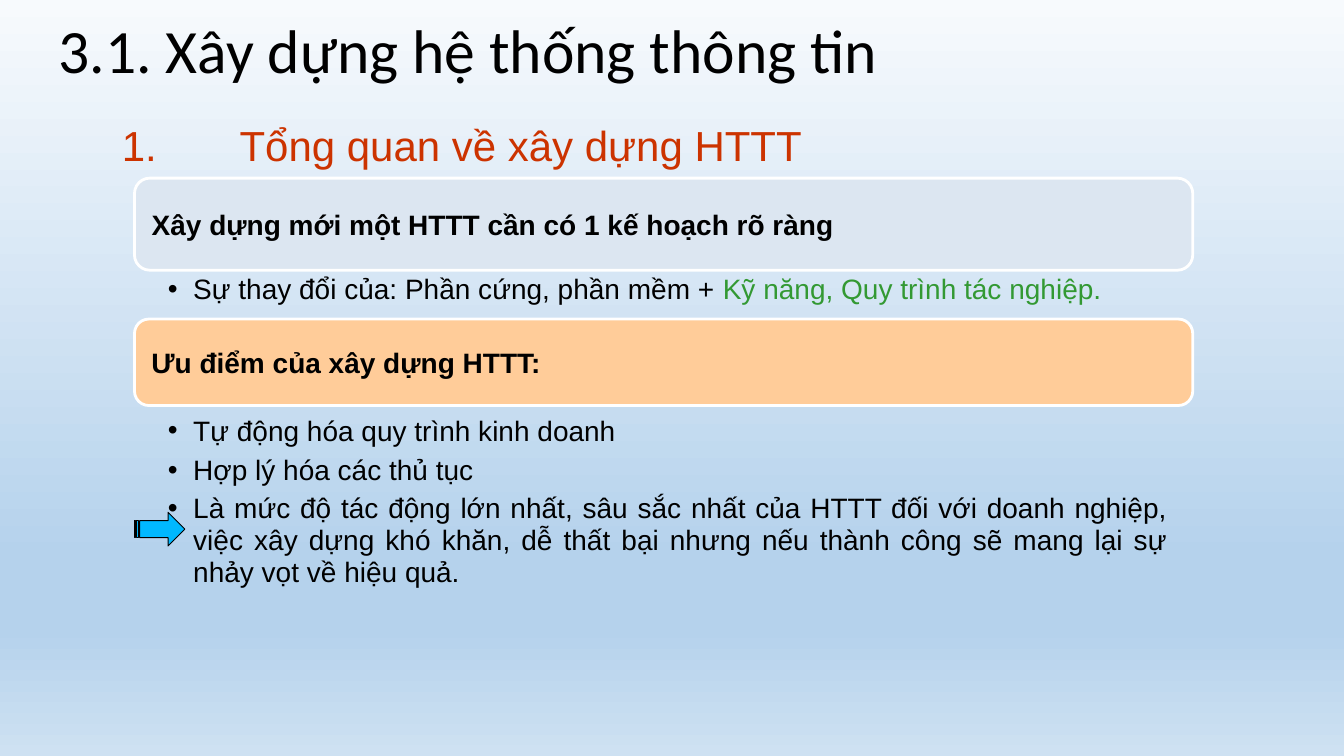
from dataclasses import dataclass

from lxml.etree import SubElement as Sub
from pptx import Presentation
from pptx.dml.color import RGBColor as Rgb
from pptx.enum.shapes import MSO_SHAPE as Kind
from pptx.enum.text import MSO_ANCHOR as Anchor, MSO_AUTO_SIZE as Fit, PP_ALIGN as Align
from pptx.oxml.ns import qn
from pptx.util import Cm, Pt

INK = {
    "black": "000000", "white": "FFFFFF", "red": "CC3300", "green": "339933",
    "mist": "DCE6F1", "peach": "FFCC99", "cyan": "00B8FF",
}
SKY = {0: "F7FAFD", 74: "B5D2EC", 83: "B5D2EC", 100: "CEE1F2"}


@dataclass
class Bar:
    """A rounded band with a bold caption."""
    top: float
    high: float
    fill: str
    text: str


@dataclass
class Item:
    """A bullet: its text, a green ending, and its spacing."""
    text: str
    tail: str = ""
    gap: float = 0
    line: float = 1.0


@dataclass
class Group:
    """A list of bullets below a bar."""
    top: float
    high: float
    items: list[Item]


BARS = [
    Bar(4.49, 2.32, "mist", "Xây dựng mới một HTTT cần có 1 kế hoạch rõ ràng"),
    Bar(8.04, 2.18, "peach", "Ưu điểm của xây dựng HTTT:"),
]
GROUPS = [
    Group(6.85, 0.9, [
        Item("Sự thay đổi của: Phần cứng, phần mềm + ",
             "Kỹ năng, Quy trình tác nghiệp."),
    ]),
    Group(10.42, 4.4, [
        Item("Tự động hóa quy trình kinh doanh"),
        Item("Hợp lý hóa các thủ tục", gap=4),
        Item("Là mức độ tác động lớn nhất, sâu sắc nhất của HTTT đối với doanh "
             "nghiệp, việc xây dựng khó khăn, dễ thất bại nhưng nếu thành công "
             "sẽ mang lại sự nhảy vọt về hiệu quả.", gap=4.5, line=0.96),
    ]),
]


def tint(name: str) -> Rgb:
    """Look up a colour."""
    return Rgb.from_string(INK[name])


def style(para, size: float, ink: str, face: str = "Arial", bold: bool = False) -> None:
    """Set the font of a paragraph."""
    font = para.font
    font.name, font.size, font.bold = face, Pt(size), bold
    font.color.rgb = tint(ink)


def setup(frame, left: float = 0, anchor=Anchor.TOP) -> None:
    """Set wrapping, margins and anchor of a text frame."""
    frame.word_wrap, frame.auto_size = True, Fit.NONE
    frame.margin_left = Cm(left)
    frame.margin_top = frame.margin_right = frame.margin_bottom = 0
    frame.vertical_anchor = anchor


def mark(para, hang: float, tag: str, **attrs: str) -> None:
    """Give a paragraph a hanging bullet or number; call before styling."""
    props = para._p.get_or_add_pPr()
    props.set("marL", str(Cm(hang)))
    props.set("indent", str(-Cm(hang)))
    Sub(props, qn("a:buFont"), typeface="Arial")
    Sub(props, qn(tag), **attrs)


def paint(slide) -> None:
    """Fill the background with the sky gradient, top to bottom."""
    fill = slide.background.fill
    fill.gradient()
    fill.gradient_angle = 270
    stops = slide.background._cSld.find(".//" + qn("a:gsLst"))
    for stop in list(stops):
        stops.remove(stop)
    for place, shade in SKY.items():
        stop = Sub(stops, qn("a:gs"), pos=str(place * 1000))
        Sub(stop, qn("a:srgbClr"), val=shade)


def block(slide, kind, box: tuple, fill: str, line: str, width: float):
    """Draw a preset shape with a fill and an outline."""
    shape = slide.shapes.add_shape(kind, *map(Cm, box))
    shape.shadow.inherit = False
    shape.fill.solid()
    shape.fill.fore_color.rgb = tint(fill)
    shape.line.color.rgb = tint(line)
    shape.line.width = Pt(width)
    return shape


def draw_bar(slide, bar: Bar) -> None:
    """Draw a captioned band."""
    box = (3.39, bar.top, 26.67, bar.high)
    frame = block(slide, Kind.ROUNDED_RECTANGLE, box, bar.fill, "white", 2).text_frame
    setup(frame, 0.32, Anchor.MIDDLE)
    para = frame.paragraphs[0]
    para.text, para.alignment = bar.text, Align.LEFT
    style(para, 20, "black", bold=True)


def draw_group(slide, group: Group) -> None:
    """Draw a list of justified bullets."""
    box = map(Cm, (4.23, group.top, 25.2, group.high))
    frame = slide.shapes.add_textbox(*box).text_frame
    setup(frame)
    for i, item in enumerate(group.items):
        para = frame.add_paragraph() if i else frame.paragraphs[0]
        mark(para, 0.64, "a:buChar", char="•")
        para.alignment = Align.JUSTIFY
        para.space_before, para.line_spacing = Pt(item.gap), item.line
        style(para, 20, "black")
        para.add_run().text = item.text
        if item.tail:
            run = para.add_run()
            run.text = item.tail
            run.font.color.rgb = tint("green")


def draw_title(slide) -> None:
    """Place the title and the numbered heading."""
    title = slide.shapes.title
    title.left, title.top, title.width, title.height = map(Cm, (1.47, 0.28, 25.4, 1.9))
    setup(title.text_frame, anchor=Anchor.MIDDLE)
    para = title.text_frame.paragraphs[0]
    para.text, para.alignment = "3.1. Xây dựng hệ thống thông tin", Align.LEFT
    style(para, 44, "black", "Calibri")

    head = slide.shapes.add_textbox(*map(Cm, (3.07, 3.0, 26.6, 1.3)))
    setup(head.text_frame)
    para = head.text_frame.paragraphs[0]
    mark(para, 2.97, "a:buAutoNum", type="arabicPeriod")
    para.text = "Tổng quan về xây dựng HTTT"
    style(para, 30, "red")


def main() -> None:
    """Build the slide."""
    deck = Presentation()
    deck.slide_width, deck.slide_height = Cm(33.87), Cm(19.05)
    slide = deck.slides.add_slide(deck.slide_layouts[5])
    paint(slide)
    draw_title(slide)
    for bar in BARS:
        draw_bar(slide, bar)
    for group in GROUPS:
        draw_group(slide, group)
    block(slide, Kind.STRIPED_RIGHT_ARROW, (3.39, 12.91, 1.27, 0.85), "cyan", "black", 0.72)
    deck.save("out.pptx")


main()
